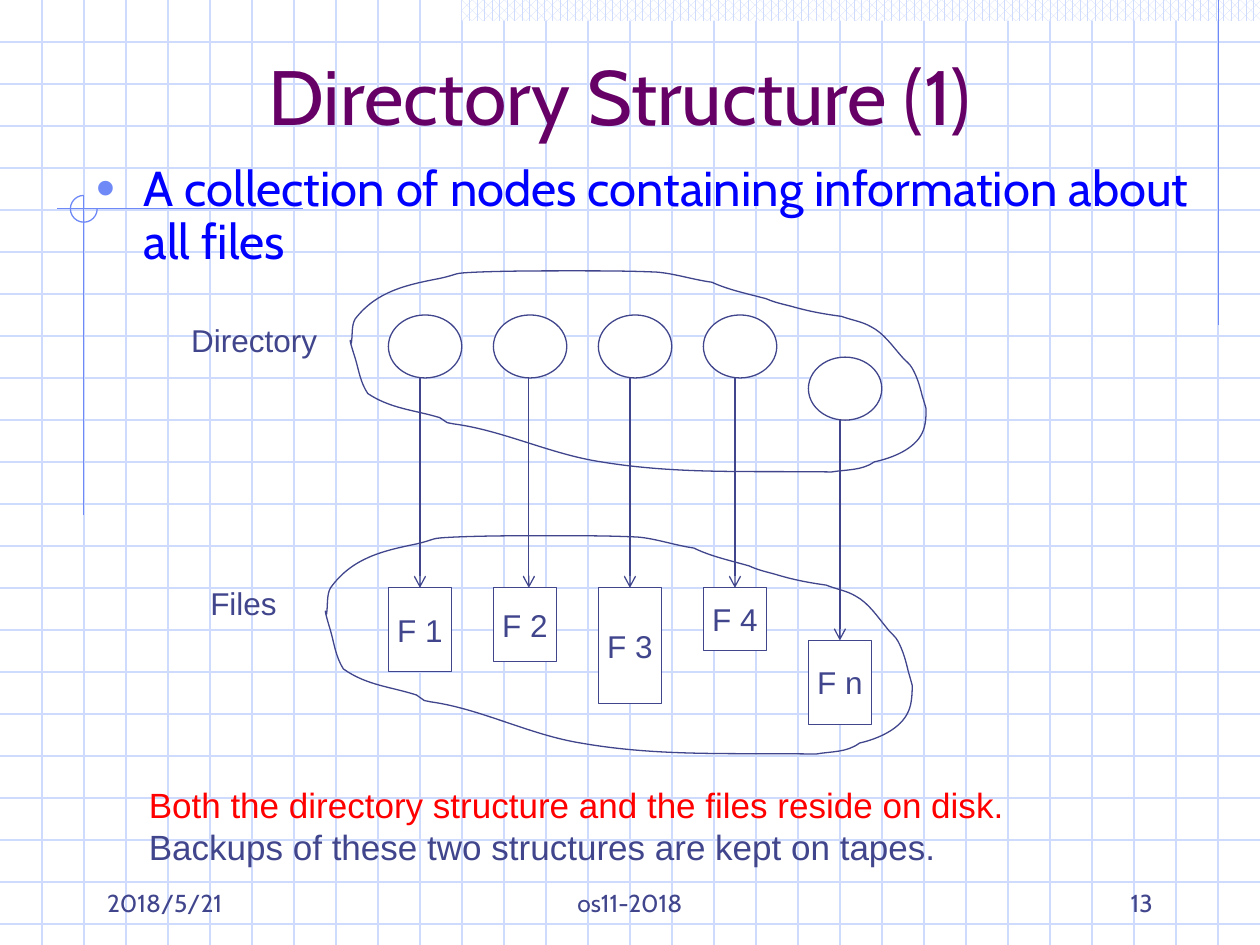
from typing import NamedTuple, Optional

import lxml.etree
import pptx
import pptx.dml.color
import pptx.enum.dml
import pptx.enum.shapes
import pptx.enum.text
import pptx.oxml.ns
import pptx.util

Cm = pptx.util.Cm
Pt = pptx.util.Pt
SHAPE = pptx.enum.shapes.MSO_SHAPE
ALIGN = pptx.enum.text.PP_ALIGN
ANCHOR = pptx.enum.text.MSO_ANCHOR
NAVY, SKY, PALE, WHITE = "40458C", "6F89F7", "CFDBFD", "FFFFFF"
PURPLE, BLUE, RED = "660066", "0000FF", "FF0000"
SLIDE_WIDTH, SLIDE_HEIGHT = 25.4, 19.05
GRID_STEP = SLIDE_WIDTH / 30


class Box(NamedTuple):
    left: float
    top: float
    width: float
    height: float

    def lengths(self) -> list:
        return [Cm(value) for value in self]


class Label(NamedTuple):
    lines: tuple
    box: Box
    size: int
    colors: tuple = (NAVY,)
    font: str = "Cabin"
    align: Optional[int] = None
    anchor: int = ANCHOR.TOP
    wrap: bool = True


class File(NamedTuple):
    name: str
    height: float
    drop: tuple = (0, 0)
    arrow_shift: float = 0


FILES = [
    File("F 1", 1.69),
    File("F 2", 1.48, arrow_shift=0.08),
    File("F 3", 2.33),
    File("F 4", 1.27),
    File("F n", 1.69, drop=(0.85, 1.06)),
]
FIRST_COLUMN, COLUMN_STEP = 7.83, SLIDE_WIDTH / 12
NODE_TOP, NODE_WIDTH, NODE_HEIGHT = 6.35, 1.48, 1.27
FILE_TOP, FILE_WIDTH = 11.85, 1.27

CLOUD_SIZE = (457, 160)
CLOUD_START = (1, 57)
CLOUD_CURVES = [
    ((2, 50), (1, 43), (4, 38)), ((21, 16), (45, 11), (71, 6)),
    ((89, 2), (79, 2), (101, 1)), ((126, 0), (151, 0), (177, 0)),
    ((199, 0), (221, 0), (243, 1)), ((257, 2), (272, 7), (287, 9)),
    ((300, 15), (315, 18), (330, 22)), ((337, 25), (342, 26), (350, 28)),
    ((364, 32), (375, 34), (390, 36)), ((398, 39), (406, 40), (413, 44)),
    ((423, 49), (430, 59), (437, 67)), ((440, 71), (444, 73), (446, 77)),
    ((450, 84), (452, 91), (454, 99)), ((455, 102), (457, 109), (457, 109)),
    ((457, 113), (457, 122), (454, 128)), ((448, 141), (430, 148), (416, 151)),
    ((406, 158), (394, 157), (382, 159)), ((318, 158), (260, 161), (199, 151)),
    ((159, 145), (121, 126), (82, 121)), ((80, 121), (79, 120), (77, 120)),
    ((75, 119), (73, 117), (71, 116)), ((51, 110), (32, 109), (14, 97)),
    ((8, 88), (7, 79), (4, 69)), ((4, 69), (0, 57), (0, 55)),
    ((0, 54), (1, 56), (1, 57)),
]
CLOUDS = [Box(7.06, 5.46, 11.61, 4.08), Box(6.56, 10.8, 11.83, 4.43)]

TITLE = Label(("Directory Structure (1)",), Box(1.7, 0.85, 21.59, 2.12), 44,
              (PURPLE,), align=ALIGN.CENTER, anchor=ANCHOR.BOTTOM)
DEFINITION = Label(("A collection of nodes containing information about all files",),
                   Box(1.7, 3.18, 22.82, 2.33), 28, (BLUE,))
LABELS = [
    Label(("2018/5/21",), Box(1.91, 17.35, 5.29, 1.27), 14, anchor=ANCHOR.BOTTOM),
    Label(("os11-2018",), Box(8.68, 17.35, 8.04, 1.27), 14,
          align=ALIGN.CENTER, anchor=ANCHOR.BOTTOM),
    Label(("13",), Box(18.2, 17.35, 5.29, 1.27), 14,
          align=ALIGN.RIGHT, anchor=ANCHOR.BOTTOM),
    Label(("Directory",), Box(3.6, 6.35, 3.05, 1.02), 18, font="Arial",
          align=ALIGN.CENTER, anchor=ANCHOR.MIDDLE, wrap=False),
    Label(("Files",), Box(3.98, 11.64, 1.86, 1.02), 18, font="Arial",
          align=ALIGN.CENTER, anchor=ANCHOR.MIDDLE, wrap=False),
    Label(("Both the directory structure and the files reside on disk.",
           "Backups of these two structures are kept on tapes."),
          Box(2.75, 15.66, 20.14, 2.06), 20, (RED, NAVY), "Arial"),
]


def rgb(value: str):
    return pptx.dml.color.RGBColor.from_string(value)


def add_element(parent, tag: str, **attributes: str):
    return lxml.etree.SubElement(parent, pptx.oxml.ns.qn(tag), attributes)


def outline(shape, color: str) -> None:
    shape.line.color.rgb = rgb(color)
    shape.line.width = Pt(0.75)


def write(shape, label: Label) -> None:
    frame = shape.text_frame
    frame.text = "\n".join(label.lines)
    frame.word_wrap = label.wrap
    frame.vertical_anchor = label.anchor
    for paragraph, color in zip(frame.paragraphs, label.colors):
        paragraph.alignment = label.align
        for run in paragraph.runs:
            run.font.name = label.font
            run.font.size = Pt(label.size)
            run.font.color.rgb = rgb(color)


def add_label(slide, label: Label):
    text = slide.shapes.add_textbox(*label.box.lengths())
    write(text, label)
    return text


def add_definition(slide) -> None:
    paragraph = add_label(slide, DEFINITION).text_frame.paragraphs[0]
    properties = paragraph._p.get_or_add_pPr()
    properties.set("marL", str(Cm(0.95)))
    properties.set("indent", str(-Cm(0.95)))
    add_element(add_element(properties, "a:buClr"), "a:srgbClr", val=SKY)
    add_element(properties, "a:buSzPct", val="110000")
    add_element(properties, "a:buFont", typeface="Arial")
    add_element(properties, "a:buChar", char="•")
    paragraph.line_spacing = 0.9


def add_shape(slide, kind, box: Box, line: Optional[str] = NAVY, fill: Optional[str] = WHITE):
    shape = slide.shapes.add_shape(kind, *box.lengths())
    shape.shadow.inherit = False
    if fill:
        shape.fill.solid()
        shape.fill.fore_color.rgb = rgb(fill)
    else:
        shape.fill.background()
    if line:
        outline(shape, line)
    else:
        shape.line.fill.background()
    return shape


def add_line(slide, start: tuple, end: tuple, color: str):
    line = slide.shapes.add_connector(
        pptx.enum.shapes.MSO_CONNECTOR.STRAIGHT, *[Cm(value) for value in start + end])
    outline(line, color)
    add_element(line._element.spPr, "a:effectLst")
    return line


def add_grid(slide) -> None:
    for row in range(1, 23):
        add_line(slide, (0, row * GRID_STEP), (SLIDE_WIDTH, row * GRID_STEP), PALE)
    for column in range(1, 30):
        add_line(slide, (column * GRID_STEP, 0), (column * GRID_STEP, SLIDE_HEIGHT), PALE)


def add_decoration(slide) -> None:
    band = add_shape(slide, SHAPE.RECTANGLE, Box(9.31, 0, 16.09, 0.42), None)
    band.fill.patterned()
    band.fill.pattern = pptx.enum.dml.MSO_PATTERN.PERCENT_60
    band.fill.fore_color.rgb = rgb(PALE)
    band.fill.back_color.rgb = rgb(WHITE)
    for start, end in [((24.56, 0), (24.56, 6.55)), ((6.1, 4.21), (1.14, 4.21)),
                       ((1.69, 3.94), (1.69, 10.39))]:
        add_line(slide, start, end, SKY)
    ring = add_shape(slide, SHAPE.ARC, Box(1.42, 3.94, 0.54, 0.54), SKY, None)
    ring.adjustments[0] = 0
    ring.adjustments[1] = 162


def add_file(slide, column: int, file: File) -> None:
    left = FIRST_COLUMN + column * COLUMN_STEP
    node_top, file_top = NODE_TOP + file.drop[0], FILE_TOP + file.drop[1]
    box = Box(left, file_top, FILE_WIDTH, file.height)
    add_shape(slide, SHAPE.OVAL, Box(left, node_top, NODE_WIDTH, NODE_HEIGHT))
    block = add_shape(slide, SHAPE.RECTANGLE, box)
    write(block, Label((file.name,), box, 18, font="Arial",
                       align=ALIGN.CENTER, anchor=ANCHOR.MIDDLE, wrap=False))
    x = left + FILE_WIDTH / 2 + file.arrow_shift
    arrow = add_line(slide, (x, node_top + NODE_HEIGHT), (x, file_top), NAVY)
    add_element(arrow.line._get_or_add_ln(), "a:tailEnd", type="arrow")
    if not file.arrow_shift:
        arrow.end_connect(block, 0)


def add_cloud(slide, box: Box) -> None:
    def scaled(point: tuple) -> tuple:
        return (Cm(point[0] * box.width / CLOUD_SIZE[0]),
                Cm(point[1] * box.height / CLOUD_SIZE[1]))

    builder = slide.shapes.build_freeform(*scaled(CLOUD_START))
    builder.add_line_segments([scaled(curve[-1]) for curve in CLOUD_CURVES], close=True)
    cloud = builder.convert_to_shape(Cm(box.left), Cm(box.top))
    segments = list(cloud._element.iter(pptx.oxml.ns.qn("a:lnTo")))
    for segment, curve in zip(segments, CLOUD_CURVES):
        bezier = segment.makeelement(pptx.oxml.ns.qn("a:cubicBezTo"))
        for x, y in map(scaled, curve):
            add_element(bezier, "a:pt", x=str(x), y=str(y))
        segment.getparent().replace(segment, bezier)
    cloud.shadow.inherit = False
    cloud.fill.background()
    outline(cloud, NAVY)


def main() -> None:
    deck = pptx.Presentation()
    deck.slide_width, deck.slide_height = Cm(SLIDE_WIDTH), Cm(SLIDE_HEIGHT)
    slide = deck.slides.add_slide(deck.slide_layouts[6])
    add_grid(slide)
    add_decoration(slide)
    add_label(slide, TITLE)
    add_definition(slide)
    for column, file in enumerate(FILES):
        add_file(slide, column, file)
    for box in CLOUDS:
        add_cloud(slide, box)
    for label in LABELS:
        add_label(slide, label)
    deck.save("out.pptx")


if __name__ == "__main__":
    main()
